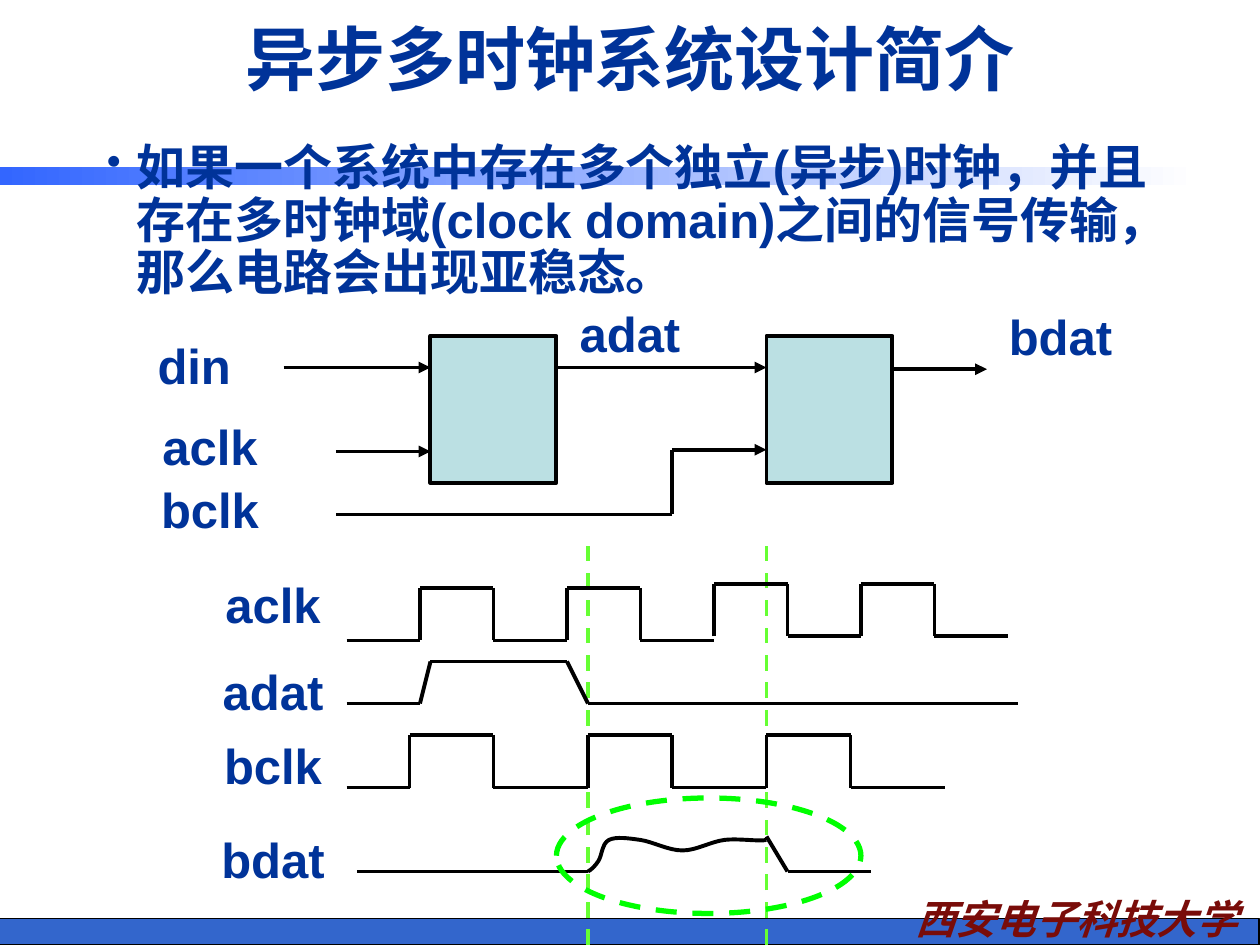
from itertools import pairwise
from typing import NamedTuple

from lxml.etree import SubElement
from pptx import Presentation
from pptx.dml.color import RGBColor
from pptx.enum.dml import MSO_LINE_DASH_STYLE as Dash
from pptx.enum.shapes import MSO_CONNECTOR as Conn, MSO_SHAPE as Shape
from pptx.enum.text import MSO_ANCHOR as Anchor, PP_ALIGN as Align
from pptx.oxml.ns import qn
from pptx.util import Pt

COLORS = {
    "navy": "003399", "black": "000000", "box": "BBE0E3", "guide": "66FF33",
    "ring": "00FF00", "bar": "3366CC", "band": "3366FF", "white": "FFFFFF",
    "school": "790C09",
}
STROKE = 2.25
LABEL_HEIGHT = 37.4
Point = tuple[float, float]


class Style(NamedTuple):
    size: float = 28
    color: str = "navy"
    font: str = "Arial"
    italic: bool = False
    spacing: float = 0.9
    align: Align = Align.CENTER
    anchor: Anchor = Anchor.TOP
    bullet: bool = False


class Label(NamedTuple):
    text: str
    x: float
    y: float
    w: float = 84


class Clock(NamedTuple):
    """A square wave that starts low and toggles at every edge."""
    start: float
    edges: tuple[float, ...]
    end: float
    low: float
    high: float


class Arrow(NamedTuple):
    x1: float
    x2: float
    y: float


def rgb(name: str) -> RGBColor:
    return RGBColor.from_string(COLORS[name])


def add_text(shapes, text: str, x, y, w, h, style: Style = Style()) -> None:
    tf = shapes.add_textbox(Pt(x), Pt(y), Pt(w), Pt(h)).text_frame
    tf.word_wrap = True
    tf.vertical_anchor = style.anchor
    p = tf.paragraphs[0]
    p.alignment = style.align
    p.line_spacing = style.spacing
    if style.bullet:
        add_bullet(p, style.color)
    r = p.add_run()
    r.text = text
    f = r.font
    f.size, f.bold, f.italic, f.name = Pt(style.size), True, style.italic, style.font
    f.color.rgb = rgb(style.color)
    SubElement(r._r.get_or_add_rPr(), qn("a:ea"), typeface="Noto Sans CJK SC")


def add_bullet(p, color: str) -> None:
    pPr = p._p.get_or_add_pPr()
    pPr.set("marL", str(Pt(17)))
    pPr.set("indent", str(Pt(-17)))
    SubElement(SubElement(pPr, qn("a:buClr")), qn("a:srgbClr"), val=COLORS[color])
    SubElement(pPr, qn("a:buSzPct"), val="85000")
    SubElement(pPr, qn("a:buChar"), char="•")


def add_preset(shapes, kind: Shape, x, y, w, h, fill=None, line=None, width=STROKE):
    sp = shapes.add_shape(kind, Pt(x), Pt(y), Pt(w), Pt(h))
    sp.shadow.inherit = False
    if fill:
        sp.fill.solid()
        sp.fill.fore_color.rgb = rgb(fill)
    else:
        sp.fill.background()
    if line:
        sp.line.color.rgb = rgb(line)
        sp.line.width = Pt(width)
    else:
        sp.line.fill.background()
    return sp


def add_line(shapes, start: Point, end: Point, color="black", arrow=False, dash=None) -> None:
    c = shapes.add_connector(Conn.STRAIGHT, *(Pt(v) for v in (*start, *end)))
    c.line.color.rgb = rgb(color)
    c.line.width = Pt(STROKE)
    if dash:
        c.line.dash_style = dash
    if arrow:
        SubElement(c.line._get_or_add_ln(), qn("a:tailEnd"), type="triangle")
    SubElement(c._element.spPr, qn("a:effectLst"))


def add_trace(shapes, points: list[Point]) -> None:
    for start, end in pairwise(points):
        if start != end:
            add_line(shapes, start, end)


def add_clock(shapes, clock: Clock) -> None:
    level, other = clock.low, clock.high
    points = [(clock.start, level)]
    for x in clock.edges:
        points += [(x, level), (x, other)]
        level, other = other, level
    add_trace(shapes, points + [(clock.end, level)])


def add_curve(shapes, start: Point, controls: list[Point]) -> None:
    """Draw cubic curves; every three control points make one curve."""
    builder = shapes.build_freeform(*start, scale=Pt(1))
    builder.add_line_segments(controls, close=False)
    sp = builder.convert_to_shape()
    segments = list(sp._element.iter(qn("a:lnTo")))
    for i in range(0, len(segments), 3):
        curve = SubElement(segments[i].getparent(), qn("a:cubicBezTo"))
        for segment in segments[i:i + 3]:
            curve.append(segment[0])
            segment.getparent().remove(segment)
    sp.shadow.inherit = False
    sp.fill.background()
    sp.line.color.rgb = rgb("black")
    sp.line.width = Pt(STROKE)


FLIP_FLOPS = (246, 438)
ARROWS = [Arrow(162, 246, 210), Arrow(318, 438, 210), Arrow(192, 246, 258),
          Arrow(384, 438, 257), Arrow(510, 564, 211)]
LABELS = [
    Label("din", 78, 192, 66), Label("aclk", 78, 238.5), Label("bclk", 78, 274.5),
    Label("adat", 318, 173.5), Label("bdat", 564, 175.5),
    Label("aclk", 114, 328.5), Label("adat", 114, 378),
    Label("bclk", 114, 420.5), Label("bdat", 114, 474),
]
CLOCKS = [
    Clock(198, (240, 282, 324, 366), 408, 366, 336),
    Clock(408, (408, 450, 492, 534), 576, 363.6, 333.8),
    Clock(198, (234, 282, 336, 384, 438, 486), 540, 450, 420),
]
ADAT = [(198, 402), (240, 402), (246, 378), (324, 378), (336, 402), (582, 402)]
UNSTABLE = [
    (337.5, 497), (340, 495), (342, 492), (344, 489), (344, 482), (348, 480),
    (352, 478), (359, 479), (366, 480), (373, 481), (382, 486), (390, 486),
    (398, 486), (406, 481), (414, 480), (422, 479), (434, 481), (438, 480),
]


def main() -> None:
    prs = Presentation()
    prs.slide_width, prs.slide_height = Pt(720), Pt(540)
    shapes = prs.slides.add_slide(prs.slide_layouts[6]).shapes

    add_preset(shapes, Shape.RECTANGLE, -0.5, 525, 720, 15, "bar", "black", 0.75)
    add_text(shapes, "西安电子科技大学", 502, 507.5, 226.5, 35,
             Style(23, "school", "Noto Sans CJK SC", italic=True, spacing=1))
    band = add_preset(shapes, Shape.RECTANGLE, 0, 95.5, 684.5, 10)
    band.fill.gradient()
    band.fill.gradient_angle = 0
    for stop, color in zip(band.fill.gradient_stops, ("band", "white")):
        stop.color.rgb = rgb(color)

    add_text(shapes, "异步多时钟系统设计简介", 54, 3, 612, 60,
             Style(40, spacing=1, anchor=Anchor.MIDDLE))
    add_text(shapes, "如果一个系统中存在多个独立(异步)时钟，并且存在多时钟域(clock domain)"
             "之间的信号传输，那么电路会出现亚稳态。", 54, 78, 630, 98,
             Style(align=Align.LEFT, bullet=True))

    for x in FLIP_FLOPS:
        add_preset(shapes, Shape.RECTANGLE, x, 192, 72, 84, "box", "black")
    for a in ARROWS:
        add_line(shapes, (a.x1, a.y), (a.x2, a.y), arrow=True)
    add_trace(shapes, [(384, 257), (384, 294), (192, 294)])

    for x in (336, 438):
        add_line(shapes, (x, 540), (x, 312), "guide", dash=Dash.DASH)
    for clock in CLOCKS:
        add_clock(shapes, clock)
    add_trace(shapes, ADAT)
    add_trace(shapes, [(204, 498), (336, 498)])
    add_curve(shapes, (336, 498), UNSTABLE)
    add_trace(shapes, [(438, 478), (450, 498), (498, 498)])

    for label in LABELS:
        add_text(shapes, *label, LABEL_HEIGHT)
    ring = add_preset(shapes, Shape.OVAL, 318, 456, 174, 66, line="ring", width=3)
    ring.line.dash_style = Dash.DASH

    prs.save("out.pptx")


if __name__ == "__main__":
    main()
